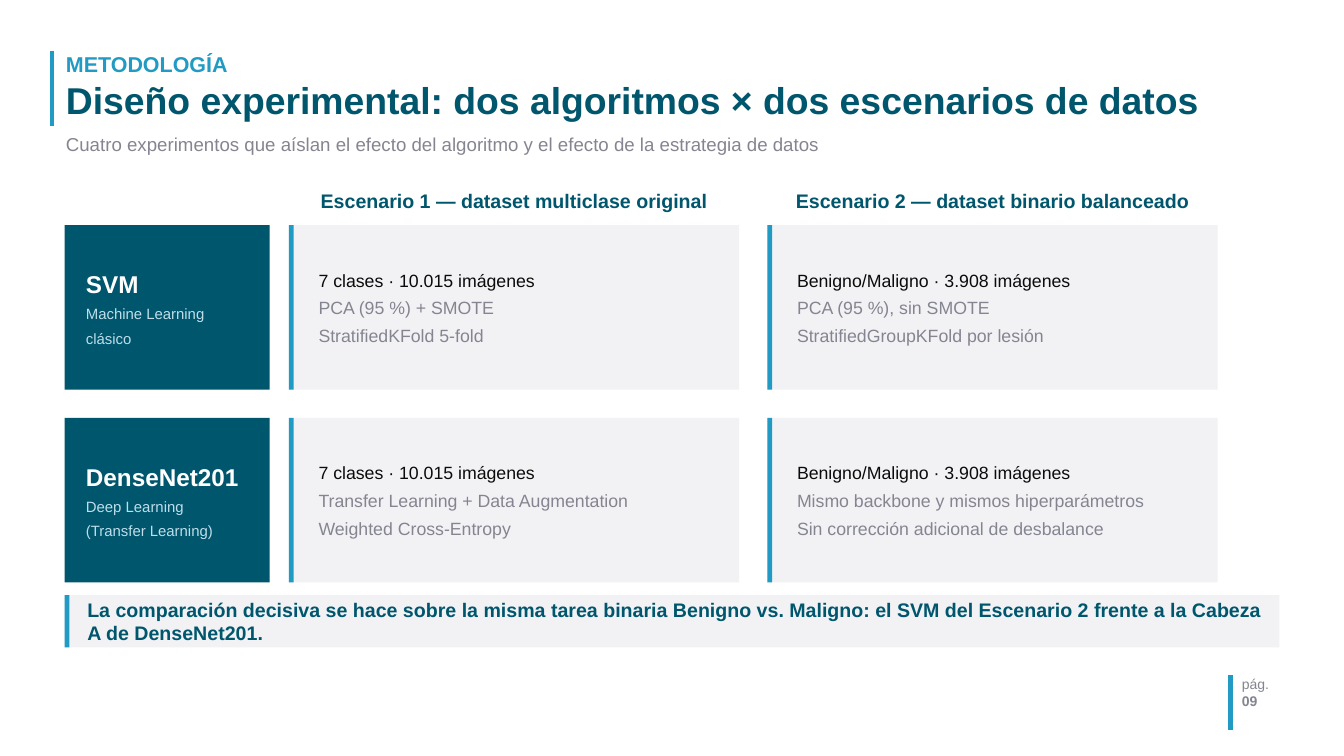
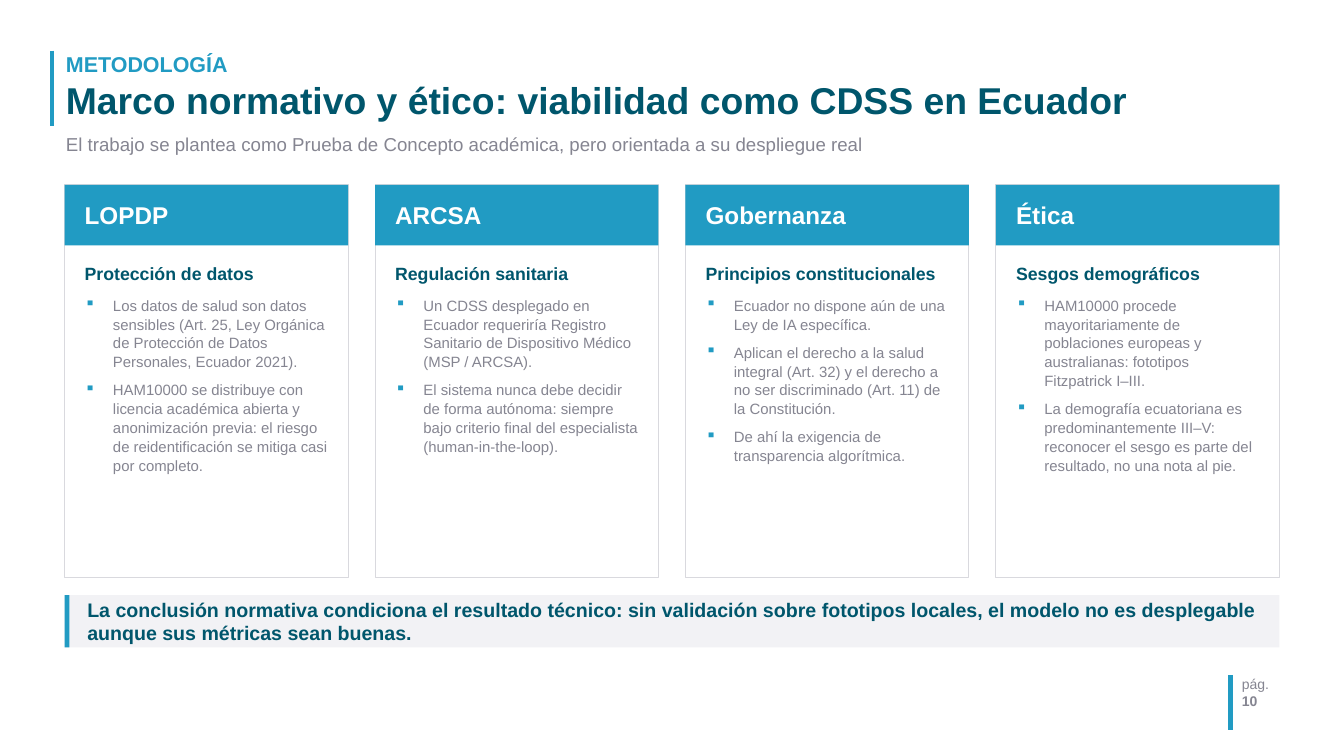
from dataclasses import dataclass

from lxml.etree import SubElement
from pptx import Presentation
from pptx.dml.color import RGBColor
from pptx.enum.shapes import MSO_CONNECTOR as Connector, MSO_SHAPE as Shape
from pptx.enum.text import MSO_ANCHOR as Anchor, MSO_AUTO_SIZE as AutoSize, PP_ALIGN as Align
from pptx.oxml.ns import qn
from pptx.util import Cm, Pt


@dataclass(frozen=True)
class Theme:
    font: str = "Arial"
    # Colours
    accent: str = "219BC3"
    dark: str = "00566C"
    pale: str = "BFDEEA"
    ink: str = "0C0B0B"
    gray: str = "858591"
    panel: str = "F2F2F5"
    border: str = "D9D9DE"
    white: str = "FFFFFF"
    # Type sizes in points
    title: int = 40
    heading: int = 26
    section: int = 23
    emphasis: int = 21
    subtitle: int = 20
    body: int = 19
    detail: int = 16
    page: int = 15
    # Line widths in points
    rule: int = 5
    outline: int = 1
    # Lengths in centimetres
    stripe: float = 0.18
    indent: float = 1.07


THEME = Theme()


@dataclass(frozen=True)
class Box:
    """A rectangle in centimetres."""
    left: float
    top: float
    width: float
    height: float

    def area(self, dx, dy, width, height):
        return Box(self.left + dx, self.top + dy, width, height)

    def inset(self, dx, dy=0):
        return self.area(dx, dy, self.width - 2 * dx, self.height - 2 * dy)

    def lengths(self):
        return [Cm(side) for side in (self.left, self.top, self.width, self.height)]


TITLE = Box(2.44, 1.78, 43.69, 3.1)
SUBTITLE = Box(2.44, 5.03, 43.69, 1.07)
MATRIX = Box(2.44, 7.16, 43.58, 14.86)
COLUMNS = Box(2.44, 6.99, 45.92, 14.86)
CALLOUT = Box(2.44, 22.5, 45.92, 1.98)
PAGE_NUMBER = Box(46.51, 25.53, 3.68, 2.05)


# Basic pieces

def color(code):
    return RGBColor.from_string(code)


def add_bullet(para):
    props = para._p.get_or_add_pPr()
    props.set("marL", str(Cm(THEME.indent)))
    props.set("indent", str(-Cm(THEME.indent)))
    SubElement(SubElement(props, qn("a:buClr")), qn("a:srgbClr"), val=THEME.accent)
    SubElement(props, qn("a:buChar"), char="▪")


def add_text(frame, text, size, fill, bold=False, align=Align.LEFT,
             spacing=None, after=0, bullet=False):
    para = frame.paragraphs[-1]
    if para.runs:
        para = frame.add_paragraph()
    if bullet:
        add_bullet(para)
    para.alignment = align
    para.space_after = Pt(after)
    if spacing:
        para.line_spacing = spacing
    span = para.add_run()
    span.text = text
    span.font.name = THEME.font
    span.font.size = Pt(size)
    span.font.bold = bold
    span.font.color.rgb = color(fill)


def set_frame(frame, anchor):
    frame.word_wrap = True
    frame.auto_size = AutoSize.NONE
    frame.vertical_anchor = anchor
    frame.margin_left = frame.margin_right = Cm(0.05)
    frame.margin_top = frame.margin_bottom = 0
    return frame


def add_frame(page, box, anchor=Anchor.TOP):
    return set_frame(page.shapes.add_textbox(*box.lengths()).text_frame, anchor)


def add_rect(page, box, fill, outline=None):
    rect = page.shapes.add_shape(Shape.RECTANGLE, *box.lengths())
    rect.shadow.inherit = False
    rect.fill.solid()
    rect.fill.fore_color.rgb = color(fill)
    if outline:
        rect.line.color.rgb = color(outline)
        rect.line.width = Pt(THEME.outline)
    else:
        rect.line.fill.background()


def add_panel(page, box):
    add_rect(page, box, THEME.panel)
    add_rect(page, box.area(0, 0, THEME.stripe, box.height), THEME.accent)


def add_rule(page, x, top, bottom):
    rule = page.shapes.add_connector(Connector.STRAIGHT, Cm(x), Cm(top), Cm(x), Cm(bottom))
    rule.line.color.rgb = color(THEME.accent)
    rule.line.width = Pt(THEME.rule)
    SubElement(rule.element.spPr, qn("a:effectLst"))


# Regions shared by every slide

def add_title(page, box, section, title):
    add_rule(page, box.left - 0.48, box.top + 0.13, box.top + 3)
    holder = page.shapes.title
    holder.left, holder.top, holder.width, holder.height = box.lengths()
    frame = set_frame(holder.text_frame, Anchor.MIDDLE)
    add_text(frame, section, THEME.section, THEME.accent, bold=True, spacing=0.92, after=5)
    add_text(frame, title, THEME.title, THEME.dark, bold=True, spacing=0.92)


def add_page_number(page, box, number):
    add_rule(page, box.left, box.top, box.top + box.height)
    frame = add_frame(page, box.area(0.38, 0.02, box.width - 0.38, box.height - 0.02))
    add_text(frame, "pág.", THEME.page, THEME.gray)
    add_text(frame, f"{number:02}", THEME.page, THEME.gray, bold=True)


def add_callout(page, box, message):
    add_panel(page, box)
    frame = add_frame(page, box.area(0.81, 0, box.width - 1.27, box.height), Anchor.MIDDLE)
    add_text(frame, message, THEME.emphasis, THEME.dark, bold=True)


def add_page(deck, number, title, subtitle, conclusion):
    page = deck.slides.add_slide(deck.slide_layouts.get_by_name("Title Only"))
    add_title(page, TITLE, "METODOLOGÍA", title)
    add_text(add_frame(page, SUBTITLE), subtitle, THEME.subtitle, THEME.gray)
    add_callout(page, CALLOUT, conclusion)
    add_page_number(page, PAGE_NUMBER, number)
    return page


# Experiment matrix

def add_algorithm(page, box, name, details):
    add_rect(page, box, THEME.dark)
    frame = add_frame(page, box.inset(0.76), Anchor.MIDDLE)
    add_text(frame, name, THEME.heading, THEME.white, bold=True, spacing=1.05, after=6)
    for detail in details:
        add_text(frame, detail, THEME.detail, THEME.pale, spacing=1.05, after=6)


def add_experiment(page, box, dataset, methods):
    add_panel(page, box)
    frame = add_frame(page, box.inset(1.07, 0.71), Anchor.MIDDLE)
    add_text(frame, dataset, THEME.body, THEME.ink, spacing=1.05, after=6)
    for method in methods:
        add_text(frame, method, THEME.body, THEME.gray, spacing=1.05, after=6)


def add_matrix(page, box, scenarios, algorithms):
    header, gap, label_width, label_gap = 1.35, 1.07, 7.75, 0.73
    start = label_width + label_gap
    width = (box.width - start - gap * (len(scenarios) - 1)) / len(scenarios)
    height = (box.height - header - gap * (len(algorithms) - 1)) / len(algorithms)
    lefts = [start + column * (width + gap) for column in range(len(scenarios))]

    for left, (scenario, _) in zip(lefts, scenarios):
        frame = add_frame(page, box.area(left, 0, width, 1.22))
        add_text(frame, scenario, THEME.emphasis, THEME.dark, bold=True, align=Align.CENTER)

    for row, (name, details, experiments) in enumerate(algorithms):
        top = header + row * (height + gap)
        add_algorithm(page, box.area(0, top, label_width, height), name, details)
        for left, (_, dataset), methods in zip(lefts, scenarios, experiments):
            add_experiment(page, box.area(left, top, width, height), dataset, methods)


# Regulation columns

def add_column(page, box, name, topic, points):
    add_rect(page, box, THEME.white, outline=THEME.border)
    header = box.area(0, 0, box.width, 2.29)
    add_rect(page, header, THEME.accent)
    add_text(add_frame(page, header.inset(0.71), Anchor.MIDDLE), name,
             THEME.heading, THEME.white, bold=True)
    frame = add_frame(page, box.area(0.71, 2.92, box.width - 1.42, box.height - 3.3))
    add_text(frame, topic, THEME.body, THEME.dark, bold=True, spacing=1.05, after=12)
    for point in points:
        add_text(frame, point, THEME.detail, THEME.gray, spacing=1.05, after=10, bullet=True)


def add_columns(page, box, columns):
    gap = 1.02
    width = (box.width - gap * (len(columns) - 1)) / len(columns)
    for index, column in enumerate(columns):
        add_column(page, box.area(index * (width + gap), 0, width, box.height), *column)


# Content

SCENARIOS = [
    ("Escenario 1 — dataset multiclase original", "7 clases · 10.015 imágenes"),
    ("Escenario 2 — dataset binario balanceado", "Benigno/Maligno · 3.908 imágenes"),
]
ALGORITHMS = [
    ("SVM", ["Machine Learning", "clásico"], [
        ["PCA (95 %) + SMOTE", "StratifiedKFold 5-fold"],
        ["PCA (95 %), sin SMOTE", "StratifiedGroupKFold por lesión"],
    ]),
    ("DenseNet201", ["Deep Learning", "(Transfer Learning)"], [
        ["Transfer Learning + Data Augmentation", "Weighted Cross-Entropy"],
        ["Mismo backbone y mismos hiperparámetros", "Sin corrección adicional de desbalance"],
    ]),
]
REGULATIONS = [
    ("LOPDP", "Protección de datos", [
        "Los datos de salud son datos sensibles (Art. 25, Ley Orgánica de Protección de Datos "
        "Personales, Ecuador 2021).",
        "HAM10000 se distribuye con licencia académica abierta y anonimización previa: el riesgo "
        "de reidentificación se mitiga casi por completo.",
    ]),
    ("ARCSA", "Regulación sanitaria", [
        "Un CDSS desplegado en Ecuador requeriría Registro Sanitario de Dispositivo Médico "
        "(MSP / ARCSA).",
        "El sistema nunca debe decidir de forma autónoma: siempre bajo criterio final del "
        "especialista (human-in-the-loop).",
    ]),
    ("Gobernanza", "Principios constitucionales", [
        "Ecuador no dispone aún de una Ley de IA específica.",
        "Aplican el derecho a la salud integral (Art. 32) y el derecho a no ser discriminado "
        "(Art. 11) de la Constitución.",
        "De ahí la exigencia de transparencia algorítmica.",
    ]),
    ("Ética", "Sesgos demográficos", [
        "HAM10000 procede mayoritariamente de poblaciones europeas y australianas: fototipos "
        "Fitzpatrick I–III.",
        "La demografía ecuatoriana es predominantemente III–V: reconocer el sesgo es parte del "
        "resultado, no una nota al pie.",
    ]),
]


def main():
    deck = Presentation()
    deck.slide_width, deck.slide_height = Cm(50.8), Cm(28.58)

    design = add_page(
        deck, 9, "Diseño experimental: dos algoritmos × dos escenarios de datos",
        "Cuatro experimentos que aíslan el efecto del algoritmo y el efecto de la estrategia "
        "de datos",
        "La comparación decisiva se hace sobre la misma tarea binaria Benigno vs. Maligno: "
        "el SVM del Escenario 2 frente a la Cabeza A de DenseNet201.")
    add_matrix(design, MATRIX, SCENARIOS, ALGORITHMS)

    framework = add_page(
        deck, 10, "Marco normativo y ético: viabilidad como CDSS en Ecuador",
        "El trabajo se plantea como Prueba de Concepto académica, pero orientada a su "
        "despliegue real",
        "La conclusión normativa condiciona el resultado técnico: sin validación sobre "
        "fototipos locales, el modelo no es desplegable aunque sus métricas sean buenas.")
    add_columns(framework, COLUMNS, REGULATIONS)

    deck.save("out.pptx")


if __name__ == "__main__":
    main()
